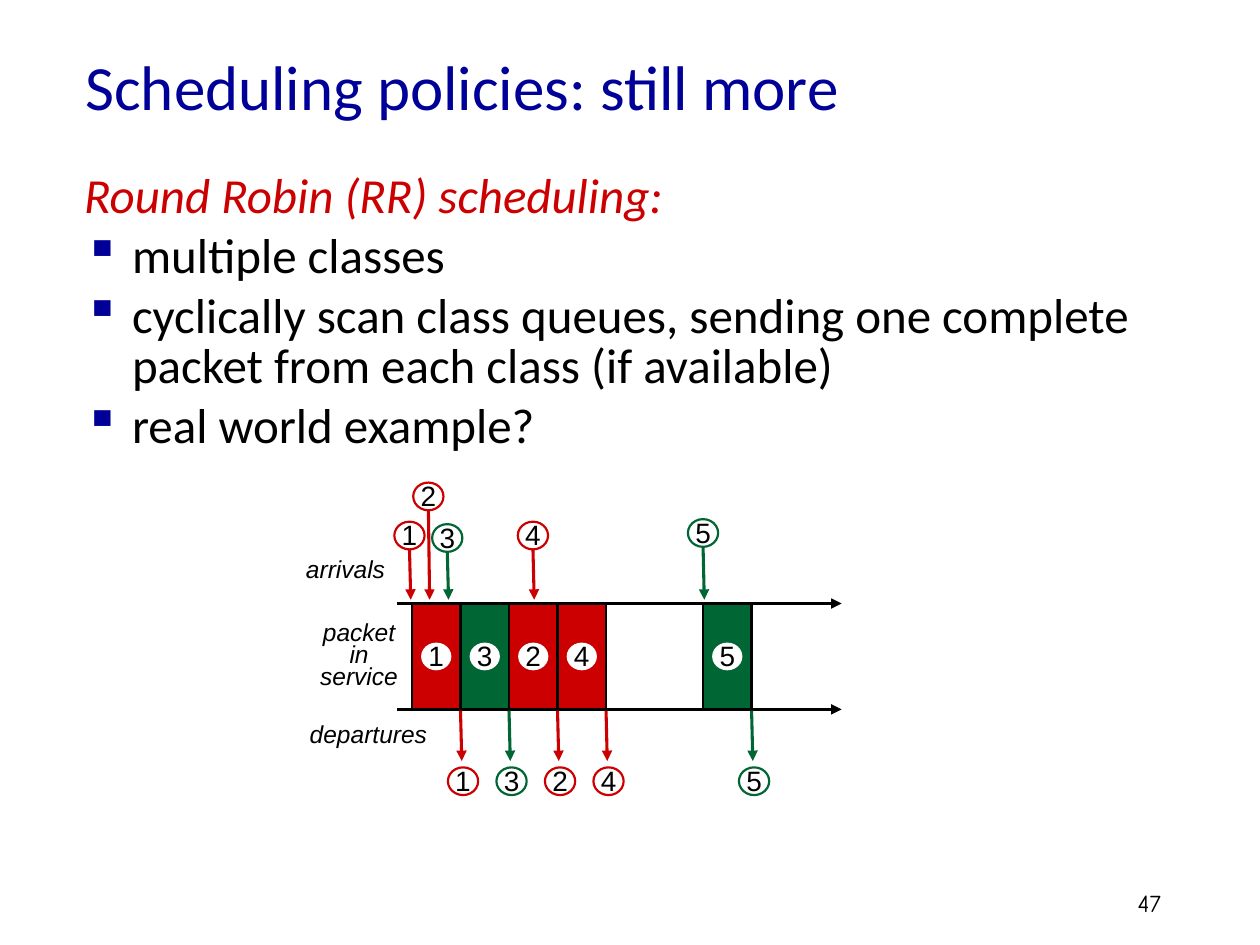
from pptx import Presentation
from pptx.dml.color import RGBColor
from pptx.enum.shapes import MSO_CONNECTOR as Conn, MSO_SHAPE as Shape
from pptx.enum.text import MSO_ANCHOR as Anchor, MSO_AUTO_SIZE as Fit, PP_ALIGN as Align
from pptx.oxml.ns import qn
from pptx.util import Inches, Pt
from lxml.etree import SubElement

COLORS = {"navy": "000099", "red": "CC0000", "green": "006633",
          "black": "000000", "white": "FFFFFF"}

TITLE = "Scheduling policies: still more"
HEAD = "Round Robin (RR) scheduling:"
BULLETS = [
    "multiple classes",
    "cyclically scan class queues, sending one complete packet from each class (if available)",
    "real world example?",
]
PAGE = "47"

# packet, class colour, time slot served in, left and top of its arrival disc
PACKETS = [
    ("1", "red", 0, 3.13, 4.14),
    ("2", "red", 2, 3.28, 3.83),
    ("3", "green", 1, 3.43, 4.16),
    ("4", "red", 3, 4.11, 4.14),
    ("5", "green", 6, 5.46, 4.12),
]
# text, left, top, width, height
LABELS = [
    ("arrivals", 2.33, 4.35, 0.88, 0.34),
    ("departures", 2.36, 5.66, 1.19, 0.34),
]
SERVICE = ("packet in service", 2.38, 4.9, 0.94, 0.65)

START, SLOT = 3.27, 0.385       # left of the first slot, slot width
TOP, BASE = 4.79, 5.63          # the two time axes
AXIS = (3.15, 6.68)
DISC_W, DISC_H = 0.24, 0.22
DROP, SLANT = 0.4, 0.01         # departure arrow

prs = Presentation()
prs.slide_width, prs.slide_height = Inches(10), Inches(7.5)
slide = prs.slides.add_slide(prs.slide_layouts[6])
shapes = slide.shapes


def rgb(name):
    return RGBColor.from_string(COLORS[name])


def style(par, size, font, color="black", italic=False):
    par.font.size, par.font.name = Pt(size), font
    par.font.color.rgb, par.font.italic = rgb(color), italic


def add_text(text, box, size, font, color="black", italic=False, wrap=True):
    frame = shapes.add_textbox(*map(Inches, box)).text_frame
    frame.word_wrap = wrap
    if not wrap:
        frame.auto_size = Fit.SHAPE_TO_FIT_TEXT
    frame.text = text
    style(frame.paragraphs[0], size, font, color, italic)
    return frame


def add_shape(kind, box, fill, line=None):
    shape = shapes.add_shape(kind, *map(Inches, box))
    shape.shadow.inherit = False
    shape.fill.solid()
    shape.fill.fore_color.rgb = rgb(fill)
    if line:
        shape.line.color.rgb, shape.line.width = rgb(line), Pt(1.25)
    else:
        shape.line.fill.background()


def add_arrow(x1, y1, x2, y2, color, width):
    arrow = shapes.add_connector(Conn.STRAIGHT, *map(Inches, (x1, y1, x2, y2)))
    arrow.line.color.rgb, arrow.line.width = rgb(color), Pt(width)
    SubElement(arrow.line._get_or_add_ln(), qn("a:tailEnd"), type="triangle")
    SubElement(arrow._element.spPr, qn("a:effectLst"))


def add_disc(num, x, y, line=None):
    add_shape(Shape.OVAL, (x, y, DISC_W, DISC_H), "white", line)
    add_text(num, (x - 0.04, y - 0.08, 0.33, 0.37), 16, "Arial", wrap=False)


def set_indent(par, bullet):
    props = par._p.get_or_add_pPr()
    props.set("marL", str(Inches(0.38)))
    props.set("indent", str(-Inches(0.38)))
    if bullet:
        tint = SubElement(props, qn("a:buClr"))
        SubElement(tint, qn("a:srgbClr"), val=COLORS["navy"])
        SubElement(props, qn("a:buChar"), char="▪")


title = add_text(TITLE, (0.58, 0.11, 8.5, 1.14), 36, "Calibri", "navy")
title.vertical_anchor = Anchor.MIDDLE

body = add_text(HEAD, (0.57, 1.33, 8.5, 2.3), 28, "Calibri", "red", True)
for item in BULLETS:
    par = body.add_paragraph()
    par.text = item
    par.space_before = Pt(5.6)
for i, par in enumerate(body.paragraphs):
    par.line_spacing = 0.85
    set_indent(par, i > 0)
    if i:
        style(par, 28, "Calibri")

for y in (TOP, BASE):
    add_arrow(AXIS[0], y, AXIS[1], y, "black", 2)

for num, color, slot, x, y in PACKETS:
    left = START + slot * SLOT
    right = left + SLOT
    add_shape(Shape.RECTANGLE, (left, TOP, SLOT, BASE - TOP), color, "black")
    add_disc(num, left + (SLOT - DISC_W) / 2, 5.1)

    mid = x + DISC_W / 2
    add_arrow(mid, y + DISC_H, mid + SLANT, TOP - 0.03, color, 1.75)
    add_disc(num, x, y, color)

    add_arrow(right, BASE + 0.01, right + SLANT, BASE + 0.01 + DROP, color, 1.75)
    add_disc(num, right - 0.1, 6.09, color)

for text, *box in LABELS:
    add_text(text, box, 14, "Arial", italic=True, wrap=False)

text, *box = SERVICE
service = add_text(text, box, 14, "Arial", italic=True).paragraphs[0]
service.alignment, service.line_spacing = Align.CENTER, Pt(12.8)

add_text(PAGE, (8.93, 7, 0.74, 0.5), 14, "Comic Neue")

prs.save("out.pptx")
